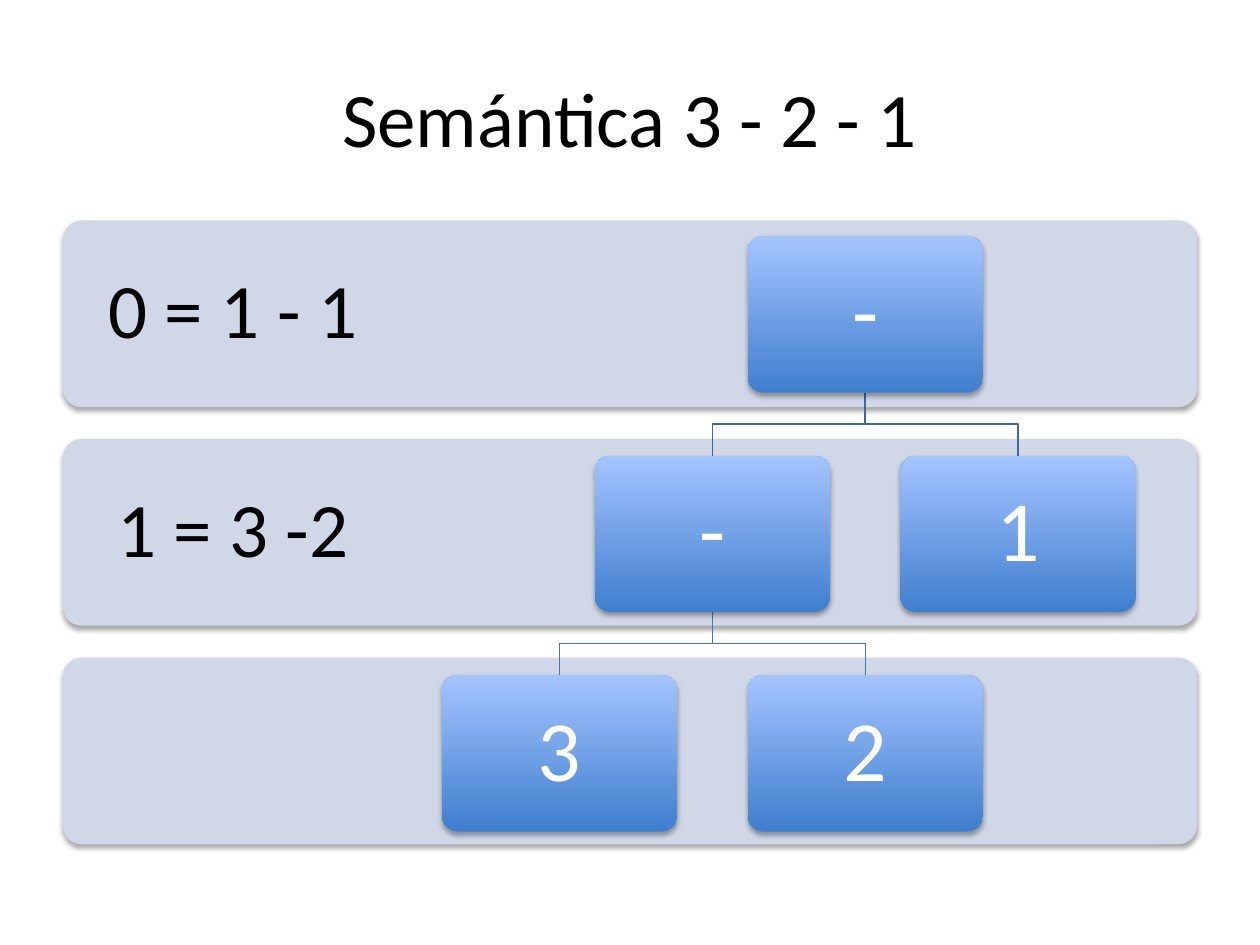
from dataclasses import dataclass

from lxml.etree import SubElement
from pptx import Presentation
from pptx.dml.color import RGBColor
from pptx.enum.shapes import MSO_SHAPE
from pptx.enum.text import MSO_ANCHOR, PP_ALIGN
from pptx.oxml.ns import qn
from pptx.shapes.autoshape import Shape
from pptx.shapes.shapetree import SlideShapes
from pptx.util import Pt

BLACK = RGBColor(0x00, 0x00, 0x00)
WHITE = RGBColor(0xFF, 0xFF, 0xFF)
PALE = RGBColor(0xD0, 0xD8, 0xE8)
DEEP = RGBColor(0x3F, 0x7F, 0xCE)
LIGHT = RGBColor(0xA4, 0xC4, 0xFF)
LINES = (RGBColor(0x3F, 0x67, 0x97), RGBColor(0x48, 0x75, 0xAC))

FONT = "Calibri"
LEFT, WIDE = 36, 648
BAND_TOP, BAND_STEP, BAND_HIGH = 126, 124.9, 106.7
LABEL_WIDE = 194.4
NODE_TOP, NODE_STEP = 135, 125.4
NODE_WIDE, NODE_HIGH = 134.4, 89.4
ROOT_MID, HALF_STEP = 494.4, 87.3


@dataclass(frozen=True)
class Node:
    text: str
    row: int
    shift: int  # half steps to the right of the root

    @property
    def mid(self) -> float:
        return ROOT_MID + self.shift * HALF_STEP

    @property
    def top(self) -> float:
        return NODE_TOP + self.row * NODE_STEP


ROOT = Node("-", 0, 0)
MINUS = Node("-", 1, -1)
ONE = Node("1", 1, 1)
THREE = Node("3", 2, -2)
TWO = Node("2", 2, 0)
NODES = (ROOT, MINUS, ONE, THREE, TWO)
LINKS = ((ROOT, MINUS), (ROOT, ONE), (MINUS, THREE), (MINUS, TWO))
LABELS = ("0 = 1 - 1", "1 = 3 -2", "")


def write(shape: Shape, text: str, size: float, color: RGBColor,
          inset: float, space: float = 0.9) -> None:
    frame = shape.text_frame
    frame.word_wrap = True
    frame.vertical_anchor = MSO_ANCHOR.MIDDLE
    frame.margin_left = frame.margin_right = Pt(inset)
    frame.margin_top = frame.margin_bottom = Pt(inset)
    para = frame.paragraphs[0]
    para.alignment = PP_ALIGN.CENTER
    para.line_spacing = space
    run = para.add_run()
    run.text = text
    run.font.name = FONT
    run.font.size = Pt(size)
    run.font.color.rgb = color


def add_card(shapes: SlideShapes, left: float, top: float,
             wide: float, high: float) -> Shape:
    """Add a borderless rounded box with a soft shadow below it."""
    card = shapes.add_shape(MSO_SHAPE.ROUNDED_RECTANGLE,
                            Pt(left), Pt(top), Pt(wide), Pt(high))
    card.adjustments[0] = 0.1
    card.line.fill.background()
    card.shadow.inherit = False
    effects = card._element.spPr.find(qn("a:effectLst"))
    shade = SubElement(effects, qn("a:outerShdw"), blurRad=str(Pt(3.1)),
                       dist=str(Pt(1.8)), dir="5400000", rotWithShape="0")
    color = SubElement(shade, qn("a:srgbClr"), val=str(BLACK))
    SubElement(color, qn("a:alpha"), val="35000")
    return card


def add_band(shapes: SlideShapes, row: int, label: str) -> None:
    top = BAND_TOP + row * BAND_STEP
    band = add_card(shapes, LEFT, top, WIDE, BAND_HIGH)
    band.fill.solid()
    band.fill.fore_color.rgb = PALE
    if label:
        box = shapes.add_textbox(Pt(LEFT), Pt(top),
                                 Pt(LABEL_WIDE), Pt(BAND_HIGH))
        write(box, label, 44, BLACK, 24.5)


def add_link(shapes: SlideShapes, head: Node, child: Node) -> None:
    start = head.top + NODE_HIGH
    bend = (start + child.top) / 2
    pen = shapes.build_freeform(Pt(head.mid), Pt(start))
    pen.add_line_segments([(Pt(head.mid), Pt(bend)),
                           (Pt(child.mid), Pt(bend)),
                           (Pt(child.mid), Pt(child.top))], close=False)
    link = pen.convert_to_shape()
    link.fill.background()
    link.line.color.rgb = LINES[head.row]
    link.line.width = Pt(0.75)
    link.shadow.inherit = False


def add_node(shapes: SlideShapes, node: Node) -> None:
    card = add_card(shapes, node.mid - NODE_WIDE / 2, node.top,
                    NODE_WIDE, NODE_HIGH)
    card.fill.gradient()
    card.fill.gradient_angle = 90
    for stop, color in zip(card.fill.gradient_stops, (DEEP, LIGHT)):
        stop.color.rgb = color
    write(card, node.text, 49, WHITE, 14.4)


def main() -> None:
    deck = Presentation()
    deck.slide_width, deck.slide_height = Pt(720), Pt(540)
    slide = deck.slides.add_slide(deck.slide_layouts[5])
    shapes = slide.shapes
    title = shapes.title
    title.left, title.top = Pt(LEFT), Pt(21.6)
    title.width, title.height = Pt(WIDE), Pt(90)
    write(title, "Semántica 3 - 2 - 1", 44, BLACK, 3.6, 1.0)
    for row, label in reversed(list(enumerate(LABELS))):
        add_band(shapes, row, label)
    for head, child in LINKS:
        add_link(shapes, head, child)
    for node in NODES:
        add_node(shapes, node)
    deck.save("out.pptx")


if __name__ == "__main__":
    main()
